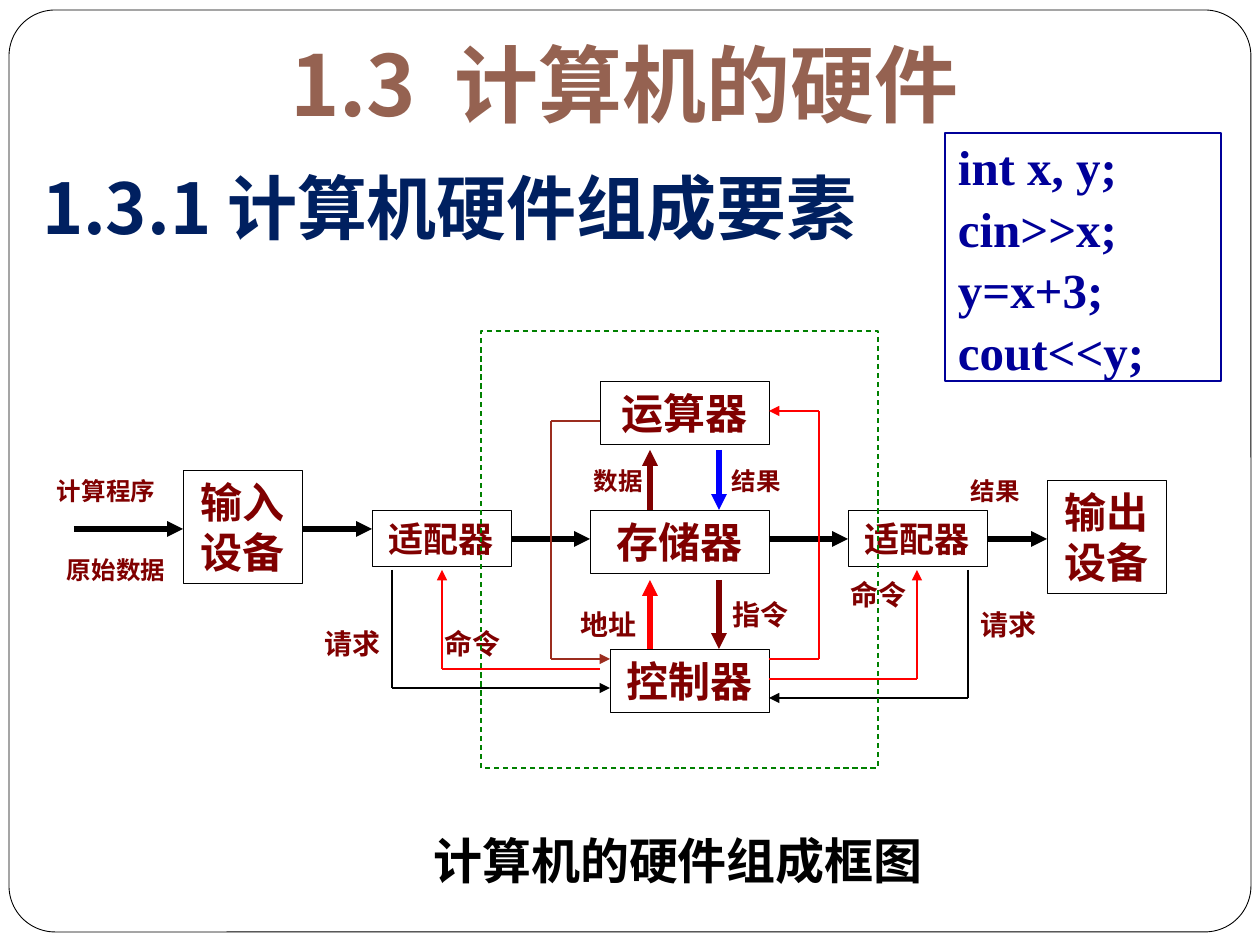
from itertools import pairwise

from lxml import etree
from pptx import Presentation
from pptx import util as u
from pptx.dml.color import RGBColor
from pptx.enum import dml, shapes, text
from pptx.oxml.ns import qn

PX = 914400 / 126
COLORS = {
    "white": "FFFFFF", "black": "000000", "title": "956251", "heading": "002060",
    "maroon": "800000", "red": "FF0000", "blue": "0000FF", "rust": "9B2D1F",
    "green": "008000", "code": "000099",
}
HEADING_FONT = "Noto Sans CJK SC"


def px(length):
    """Convert whole pixels to EMU."""
    return u.Emu(round(length * PX))


def rgb(color):
    """Look up a named colour."""
    return RGBColor.from_string(COLORS[color])


def write(part, lines, size, font, color, align=text.PP_ALIGN.LEFT, pad=13):
    """Fill a part with bold lines of text."""
    frame = part.text_frame
    frame.text = "\n".join(lines)
    frame.word_wrap = True
    frame.auto_size = text.MSO_AUTO_SIZE.NONE
    frame.vertical_anchor = text.MSO_ANCHOR.MIDDLE
    frame.margin_left = frame.margin_right = px(pad)
    frame.margin_top = frame.margin_bottom = px(6)
    for paragraph in frame.paragraphs:
        paragraph.alignment = align
        paragraph.space_before = u.Pt(0)
        for run in paragraph.runs:
            run.font.size, run.font.name, run.font.bold = u.Pt(size), font, True
            run.font.color.rgb = rgb(color)
    return frame


def place(part, box):
    """Move a placeholder to a box."""
    part.left, part.top, part.width, part.height = map(px, box)


def outline(slide, box, color, width, kind=shapes.MSO_SHAPE.RECTANGLE):
    """Add an unfilled outlined shape."""
    part = slide.shapes.add_shape(kind, *map(px, box))
    part.shadow.inherit = False
    part.fill.background()
    part.line.color.rgb = rgb(color)
    part.line.width = u.Pt(width)
    return part


def label(slide, box, words, size, font, color, **options):
    """Add a text box."""
    write(slide.shapes.add_textbox(*map(px, box)), [words], size, font, color, **options)


def route(slide, origin, points, color, width):
    """Join points with straight connectors, ending in an arrowhead."""
    left, top = origin
    corners = [(px(left + x), px(top + y)) for x, y in points]
    for start, end in pairwise(corners):
        wire = slide.shapes.add_connector(shapes.MSO_CONNECTOR.STRAIGHT, *start, *end)
        wire.line.color.rgb = rgb(color)
        wire.line.width = u.Pt(width)
        etree.SubElement(wire.element.spPr, qn("a:effectLst"))
    etree.SubElement(wire.line._get_or_add_ln(), qn("a:tailEnd"), type="triangle")


def page_frame(slide, box):
    """Put the rounded page border behind everything."""
    border = outline(slide, box, "black", 0.5, shapes.MSO_SHAPE.ROUNDED_RECTANGLE)
    border.adjustments[0] = 0.05
    border.fill.solid()
    border.fill.fore_color.rgb = rgb("white")
    border.element.getparent().insert(2, border.element)


def chapter_title(slide, box):
    """Write the chapter title with a widened gap after its number."""
    title = slide.shapes.title
    place(title, box)
    frame = write(title, ["1.3"], 48, HEADING_FONT, "title", text.PP_ALIGN.CENTER)
    paragraph = frame.paragraphs[0]
    for words in (" ", "计算机的硬件"):
        run = paragraph.add_run()
        run.text = words
        run.font.size, run.font.name, run.font.bold = u.Pt(48), HEADING_FONT, True
        run.font.color.rgb = rgb("title")
    paragraph.runs[1]._r.get_or_add_rPr().set("spc", "1100")


def section_heading(slide, box):
    """Write the section heading in the body placeholder."""
    heading = slide.placeholders[1]
    place(heading, box)
    heading.text_frame.text = "1.3.1 计算机硬件组成要素"
    frame = write(heading, [heading.text_frame.text], 40, HEADING_FONT, "heading")
    frame.vertical_anchor = text.MSO_ANCHOR.TOP
    paragraph = frame.paragraphs[0]
    paragraph.line_spacing = 0.9
    properties = paragraph._p.get_or_add_pPr()
    properties.set("marL", "0")
    properties.set("indent", "0")
    etree.SubElement(properties, qn("a:buNone"))


def code_sample(slide, box):
    """Show the short program in a framed box."""
    lines = ["int x, y;", "cin>>x;", "y=x+3;", "cout<<y;"]
    sample = outline(slide, box, "code", 1.5)
    for paragraph in write(sample, lines, 28, "Times New Roman", "code").paragraphs:
        paragraph.line_spacing = 1.05


def hardware_diagram(slide, box):
    """Draw the units, their data paths and their control paths."""
    left, top, width, height = box
    units = [
        ("输入设备", 143, 140, 119, 113, 24), ("输出设备", 1007, 150, 119, 113, 24),
        ("存储器", 550, 180, 179, 63, 24), ("运算器", 560, 51, 169, 63, 24),
        ("控制器", 570, 319, 159, 63, 24),
        ("适配器", 332, 180, 139, 56, 20), ("适配器", 808, 180, 139, 56, 20),
    ]
    for name, x, y, w, h, size in units:
        unit = outline(slide, (left + x, top + y, w, h), "black", 0.25)
        write(unit, [name], size, "Karla", "maroon", text.PP_ALIGN.CENTER)

    data_paths = [
        ("black", (34, 199), (143, 199)), ("black", (262, 199), (332, 199)),
        ("black", (471, 209), (550, 209)), ("black", (729, 209), (808, 209)),
        ("black", (947, 209), (1007, 209)),
        ("red", (610, 319), (610, 250)), ("maroon", (679, 250), (679, 319)),
        ("maroon", (610, 180), (610, 120)), ("blue", (679, 120), (679, 180)),
    ]
    control_paths = [
        ("red", (560, 339), (402, 339), (402, 240)),
        ("black", (352, 240), (352, 358), (570, 358)),
        ("red", (729, 329), (779, 329), (779, 81), (729, 81)),
        ("rust", (560, 91), (511, 91), (511, 329), (570, 329)),
        ("red", (729, 349), (877, 349), (877, 240)),
        ("black", (928, 240), (928, 368), (729, 368)),
    ]
    for paths, weight in ((data_paths, 3), (control_paths, 0.75)):
        for color, *points in paths:
            route(slide, (left, top), points, color, weight)

    signals = [
        ("计算程序", 4, 140, 139, 14, "Karla", 13), ("原始数据", 24, 219, 118, 14, "Karla", 3),
        ("数据", 541, 130, 79, 14, "Karla", 13), ("结果", 679, 130, 79, 14, "Karla", 13),
        ("结果", 918, 140, 79, 14, "Karla", 13), ("指令", 690, 260, 79, 16, "Karla", 3),
        ("地址", 541, 270, 69, 16, "Arial", 0), ("命令", 798, 240, 89, 16, "Arial", 13),
        ("命令", 392, 289, 89, 16, "Arial", 13), ("请求", 928, 270, 89, 16, "Arial", 13),
        ("请求", 272, 289, 89, 16, "Arial", 13),
    ]
    for words, x, y, w, size, font, pad in signals:
        label(slide, (left + x, top + y, w, 3 * size), words, size, font, "maroon", pad=pad)

    host = outline(slide, (left + 441, top + 1, 397, height), "green", 0.75)
    host.line.dash_style = dml.MSO_LINE.DASH
    label(slide, (left + 371, top + height + 57, 534, 72), "计算机的硬件组成框图",
          28, "Karla", "black", align=text.PP_ALIGN.CENTER)


def main():
    """Build the slide and save it."""
    deck = Presentation()
    deck.slide_width, deck.slide_height = px(1260), px(945)
    slide = deck.slides.add_slide(deck.slide_layouts[1])
    page_frame(slide, (9, 10, 1242, 922))
    chapter_title(slide, (147, 29, 955, 108))
    section_heading(slide, (29, 168, 924, 78))
    hardware_diagram(slide, (40, 330, 1126, 437))
    code_sample(slide, (945, 133, 276, 248))
    deck.save("out.pptx")


if __name__ == "__main__":
    main()
